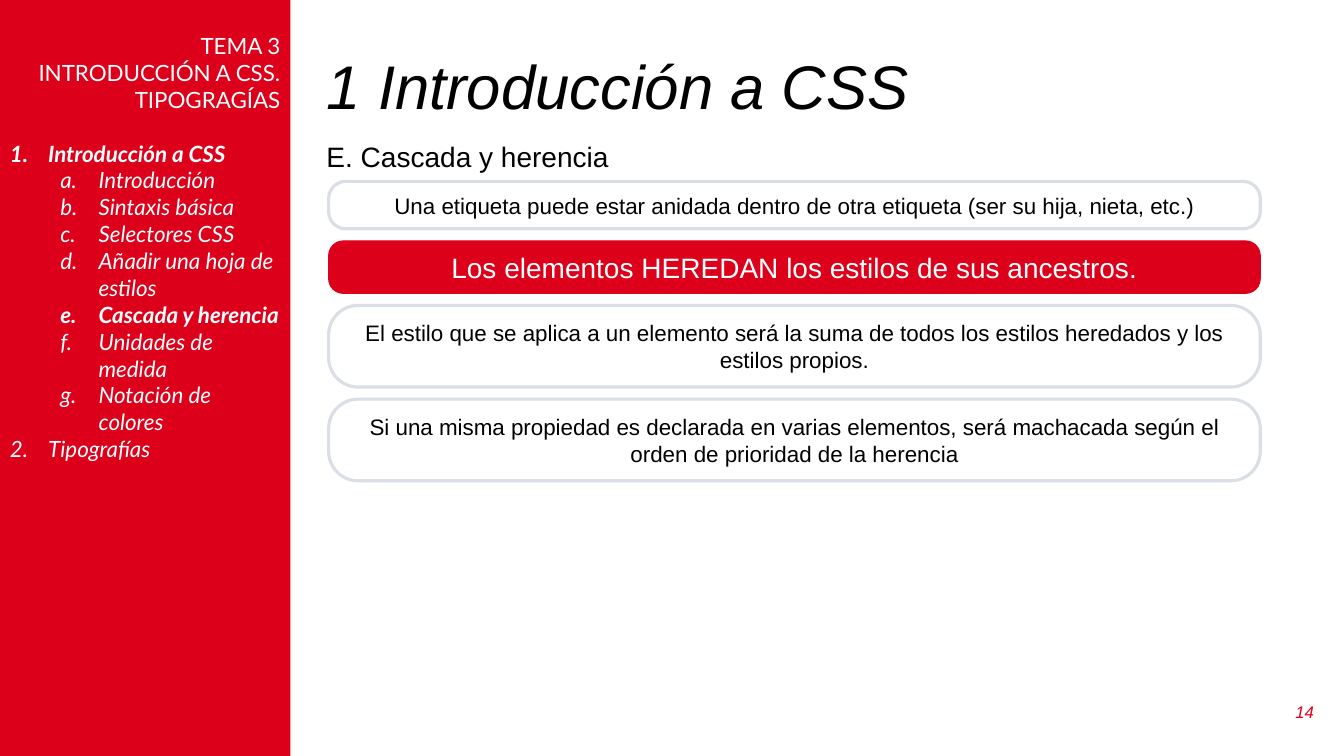
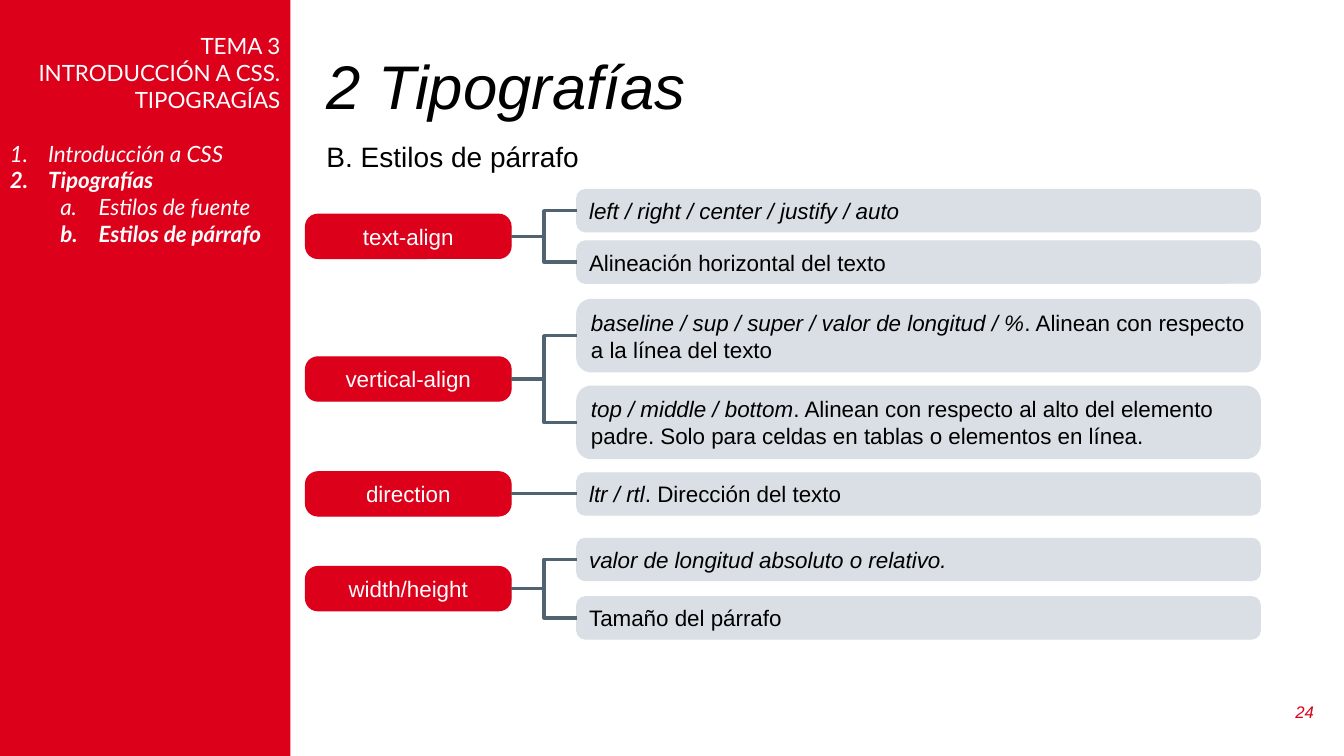
from lxml import etree
from pptx import Presentation
from pptx import util as u
from pptx.dml.color import RGBColor
from pptx.enum import shapes, text
from pptx.oxml.ns import qn

RED, GREY, SLATE, WHITE, BLACK = "DC001B", "D9DFE4", "516270", "FFFFFF", "000000"
LEFT, MID, RIGHT = text.PP_ALIGN.LEFT, text.PP_ALIGN.CENTER, text.PP_ALIGN.RIGHT
WIDE, HIGH = 13.33, 7.5
BAR = 2.88                        # side bar
HEAD = 3.14                       # title and subtitle
BODY, SPAN = 3.26, 9.24           # stacked boxes
TAG, TAG_W, TAG_H = 3.03, 2.04, 0.44
NOTE, NOTE_W = 5.72, 6.78
GAP = 0.12


def draw(slide, kind, x, y, w, h, fill=None, line=None, width=0.75, adj=None):
    """Add a preset shape, in inches, with its text centred vertically."""
    shape = slide.shapes.add_shape(kind, *map(u.Inches, (x, y, w, h)))
    shape.shadow.inherit = False
    if fill:
        shape.fill.solid()
        shape.fill.fore_color.rgb = RGBColor.from_string(fill)
    else:
        shape.fill.background()
    if line:
        shape.line.color.rgb = RGBColor.from_string(line)
        shape.line.width = u.Pt(width)
    else:
        shape.line.fill.background()
    if adj:
        shape.adjustments[0] = adj
    shape.text_frame.word_wrap = True
    return shape


def say(para, runs, size, hue=BLACK, align=LEFT, face="Arial"):
    """Write (words, style) runs; style holds b for bold, i for italic."""
    para.alignment = align
    for words, style in runs:
        run = para.add_run()
        run.text = words
        font = run.font
        font.name, font.size = face, u.Pt(size)
        font.bold, font.italic = "b" in style, "i" in style
        font.color.rgb = RGBColor.from_string(hue)


ROUND = shapes.MSO_SHAPE.ROUNDED_RECTANGLE

# Menu entries: level, words, style
pages = [
    ("1 Introducción a CSS", "E. Cascada y herencia", "14", [
        (0, "Introducción a CSS", "bi"),
        (1, "Introducción", "i"),
        (1, "Sintaxis básica", "i"),
        (1, "Selectores CSS", "i"),
        (1, "Añadir una hoja de estilos", "i"),
        (1, "Cascada y herencia", "bi"),
        (1, "Unidades de medida", "i"),
        (1, "Notación de colores", "i"),
        (0, "Tipografías", "i")]),
    ("2 Tipografías", "B. Estilos de párrafo", "24", [
        (0, "Introducción a CSS", "i"),
        (0, "Tipografías", "bi"),
        (1, "Estilos de fuente", "i"),
        (1, "Estilos de párrafo", "bi")]),
]

deck = Presentation()
deck.slide_width, deck.slide_height = u.Inches(WIDE), u.Inches(HIGH)

# Shared frame: title, side bar with menu, page number, subtitle
slides = []
for name, topic, num, menu in pages:
    slide = deck.slides.add_slide(deck.slide_layouts[5])
    slides.append(slide)
    title = slide.shapes.title
    title.left, title.top = u.Inches(HEAD), u.Inches(0.5)
    title.width, title.height = u.Inches(9.99), u.Inches(0.78)
    frame = title.text_frame
    frame.auto_size = text.MSO_AUTO_SIZE.NONE
    frame.vertical_anchor = text.MSO_ANCHOR.MIDDLE
    frame.paragraphs[0].line_spacing = 0.9
    say(frame.paragraphs[0], [(name, "i")], 44)

    bar = draw(slide, shapes.MSO_SHAPE.RECTANGLE, 0, 0, BAR, HIGH, RED)
    frame = bar.text_frame
    frame.vertical_anchor = text.MSO_ANCHOR.TOP
    frame.margin_top = u.Inches(0.32)
    say(frame.paragraphs[0], [("TEMA 3", "")], 16, WHITE, RIGHT, "Lato")
    say(frame.add_paragraph(), [("INTRODUCCIÓN A CSS. TIPOGRAGÍAS", "")],
        16, WHITE, RIGHT, "Lato")
    for row, (level, words, style) in enumerate(menu):
        para = frame.add_paragraph()
        say(para, [(words, style)], 16, WHITE, LEFT, "Lato")
        para.level = level
        para.space_before = u.Pt(0 if row else 19.2)
        props = para._p.get_or_add_pPr()
        props.set("marL", str(u.Inches(0.38 + 0.5 * level)))
        props.set("indent", str(u.Inches(-0.38)))
        tint = etree.SubElement(props, qn("a:buClr"))
        etree.SubElement(tint, qn("a:srgbClr"), val=WHITE)
        etree.SubElement(props, qn("a:buAutoNum"),
                         type=("arabicPeriod", "alphaLcPeriod")[level])

    for words, style, size, hue, align, area in [
            (num, "i", 12, RED, RIGHT, (12.62, 6.86, 0.51, 0.4)),
            (topic, "", 20, BLACK, LEFT, (HEAD, 1.33, 7.46, 0.44))]:
        label = slide.shapes.add_textbox(*map(u.Inches, area))
        label.text_frame.word_wrap = True
        label.text_frame.vertical_anchor = text.MSO_ANCHOR.MIDDLE
        say(label.text_frame.paragraphs[0], [(words, style)], size, hue, align)

# Inheritance: a stack of boxes, the key one in red
stack = [
    (0.47, False, "Una etiqueta puede estar anidada dentro de otra etiqueta "
                  "(ser su hija, nieta, etc.)"),
    (0.52, True, "Los elementos HEREDAN los estilos de sus ancestros."),
    (0.81, False, "El estilo que se aplica a un elemento será la suma de todos "
                  "los estilos heredados y los estilos propios."),
    (0.81, False, "Si una misma propiedad es declarada en varias elementos, será "
                  "machacada según el orden de prioridad de la herencia"),
]
top = 1.8
for high, key, words in stack:
    look = (RED, RED, 0.75, 0.28) if key else (None, GREY, 2.25, 0.36)
    box = draw(slides[0], ROUND, BODY, top, SPAN, high, *look)
    say(box.text_frame.paragraphs[0], [(words, "")], 20 if key else 16,
        WHITE if key else BLACK, MID)
    top += high + GAP

# Paragraph styles: each property is centred on its notes (top, runs)
props = [
    ("text-align", 0.42, [
        (1.88, [("left / right / center / justify / auto", "i")]),
        (2.39, [("Alineación horizontal del texto", "")])]),
    ("vertical-align", 0.72, [
        (2.97, [("baseline / sup / super / valor de longitud / %", "i"),
                (". Alinean con respecto a la línea del texto", "")]),
        (3.83, [("top / middle / bottom", "i"),
                (". Alinean con respecto al alto del elemento padre. Solo para "
                 "celdas en tablas o elementos en línea.", "")])]),
    ("direction", 0.42, [
        (4.69, [("ltr / rtl", "i"), (". Dirección del texto", "")])]),
    ("width/height", 0.42, [
        (5.34, [("valor de longitud absoluto o relativo.", "i")]),
        (5.92, [("Tamaño del párrafo", "")])]),
]
slide = slides[1]
for name, high, notes in props:
    axis = (notes[0][0] + notes[-1][0] + high) / 2
    tag = draw(slide, ROUND, TAG, axis - TAG_H / 2, TAG_W, TAG_H, RED, RED, adj=0.28)
    say(tag.text_frame.paragraphs[0], [(name, "")], 16, WHITE, MID)
    bend = shapes.MSO_CONNECTOR.ELBOW if len(notes) > 1 else shapes.MSO_CONNECTOR.STRAIGHT
    for top, runs in notes:
        box = draw(slide, ROUND, NOTE, top, NOTE_W, high, GREY, GREY, adj=0.2)
        say(box.text_frame.paragraphs[0], runs, 16)
        link = slide.shapes.add_connector(bend, 0, 0, 0, 0)
        link.begin_connect(tag, 3)
        link.end_connect(box, 1)
        link.line.color.rgb = RGBColor.from_string(SLATE)
        link.line.width = u.Pt(2.25)
        etree.SubElement(link._element.spPr, qn("a:effectLst"))

deck.save("out.pptx")
